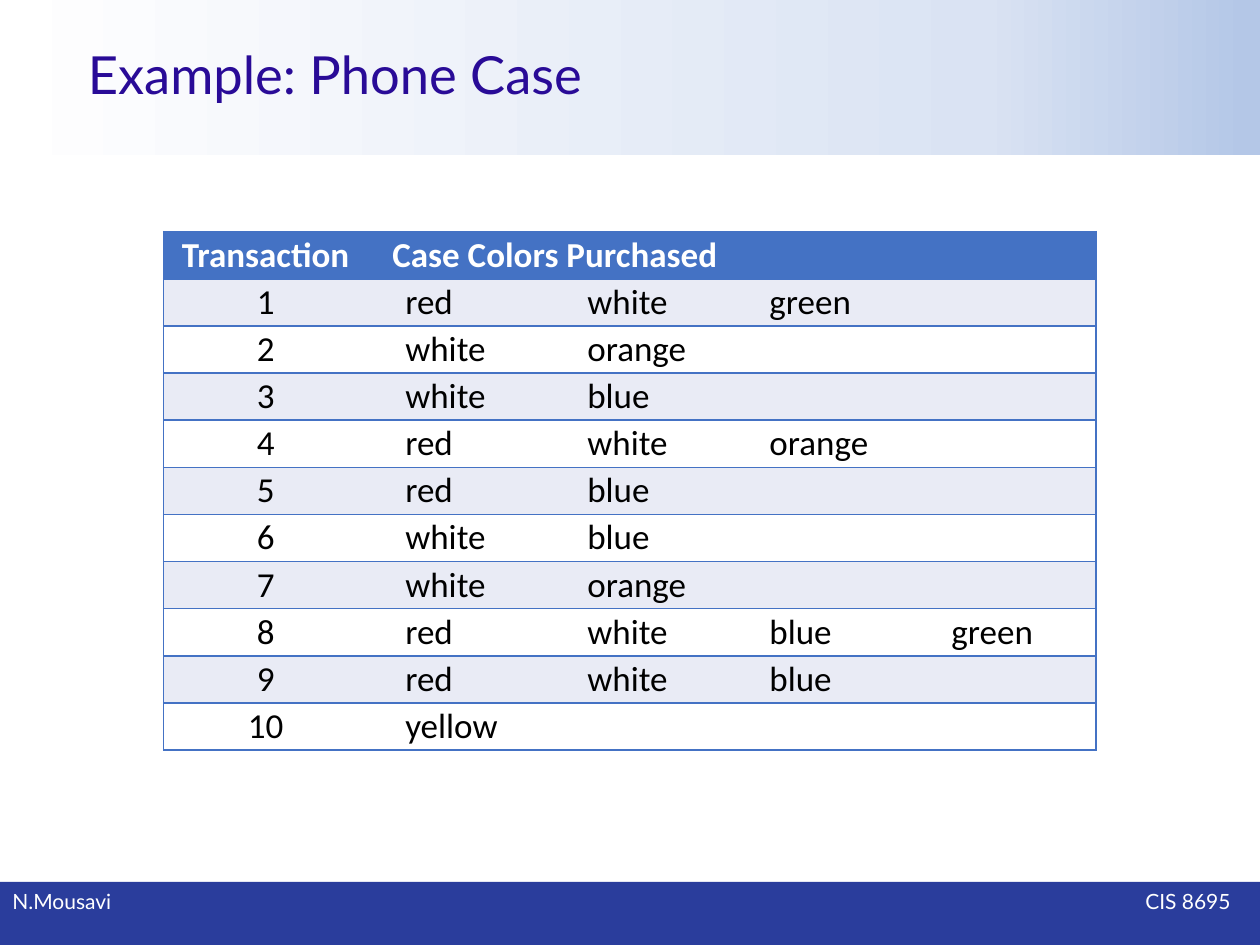
"""Build the phone case transactions slide."""
from dataclasses import dataclass

from lxml.etree import SubElement
from pptx import Presentation
from pptx.dml.color import RGBColor as Color
from pptx.enum.shapes import MSO_SHAPE as Shape
from pptx.enum.text import MSO_ANCHOR as Anchor, PP_ALIGN as Align
from pptx.oxml.ns import qn
from pptx.util import Cm, Pt

TITLE = "Example: Phone Case"
FOOTER = ("N.Mousavi", "CIS 8695")
HEADER = ("Transaction", "Case Colors Purchased")
PURCHASES = [
    ("red", "white", "green"),
    ("white", "orange"),
    ("white", "blue"),
    ("red", "white", "orange"),
    ("red", "blue"),
    ("white", "blue"),
    ("white", "orange"),
    ("red", "white", "blue", "green"),
    ("red", "white", "blue"),
    ("yellow",),
]


@dataclass(frozen=True)
class Theme:
    """Colours, fonts and type sizes of the slide."""

    title: str = "290B97"
    footer: str = "2A3D9C"
    accent: str = "4472C4"
    band: str = "E9EBF5"
    white: str = "FFFFFF"
    black: str = "000000"
    banner: tuple = ((0.01, "B4C7E7"), (0.22, "DAE3F3"), (1, "FFFFFF"))
    display_font: str = "Lato"
    table_font: str = "Calibri"
    title_size: int = 30
    table_size: int = 20
    footer_size: int = 12


THEME = Theme()
WIDTH, HEIGHT = Cm(25.4), Cm(19.05)
BANNER_HEIGHT = Cm(3.12)
FOOTER_TOP, FOOTER_HEIGHT = Cm(17.78), Cm(1.32)
TABLE_LEFT, TABLE_TOP = Cm(3.3), Cm(4.67)
NUMBER_WIDTH, COLOR_WIDTH, ROW_HEIGHT = Cm(4.11), Cm(3.67), Cm(0.95)
COLOR_COLUMNS = max(map(len, PURCHASES))
HEADER_INDENT, COLOR_INDENT = Cm(0.5), Cm(0.76)


def style_font(paragraph, name, size, color, bold=False):
    """Apply one typeface to all runs of a paragraph."""
    for run in paragraph.runs:
        run.font.name, run.font.size, run.font.bold = name, Pt(size), bold
        run.font.color.rgb = Color.from_string(color)


def add_bar(slide, top, height):
    """Add a full-width rectangle without outline or shadow."""
    shape = slide.shapes.add_shape(Shape.RECTANGLE, 0, top, WIDTH, height)
    shape.shadow.inherit = False
    shape.line.fill.background()
    return shape


def add_banner(slide):
    """Add the gradient band behind the title."""
    fill = add_bar(slide, 0, BANNER_HEIGHT).fill
    fill.gradient()
    fill.gradient_angle = 180
    stop_list = fill._xPr.find(qn("a:gradFill")).find(qn("a:gsLst"))
    for stop in list(stop_list):
        stop_list.remove(stop)
    for position, color in THEME.banner:
        stop = SubElement(stop_list, qn("a:gs"), pos=str(round(position * 100000)))
        SubElement(stop, qn("a:srgbClr"), val=color)


def add_footer(slide):
    """Add the footer bar with a right tab for its second text."""
    shape = add_bar(slide, FOOTER_TOP, FOOTER_HEIGHT)
    shape.fill.solid()
    shape.fill.fore_color.rgb = Color.from_string(THEME.footer)
    shape.text_frame.text = "\t".join(FOOTER)
    shape.text_frame.vertical_anchor = Anchor.TOP
    paragraph = shape.text_frame.paragraphs[0]
    paragraph.alignment = Align.LEFT
    tabs = SubElement(paragraph._p.get_or_add_pPr(), qn("a:tabLst"))
    SubElement(tabs, qn("a:tab"), pos=str(Cm(24.56)), algn="r")
    style_font(paragraph, THEME.display_font, THEME.footer_size, THEME.white)


def add_title(slide):
    """Add the title over the banner."""
    left = Cm(1.52)
    box = slide.shapes.add_textbox(left, 0, WIDTH - left, BANNER_HEIGHT)
    box.text_frame.word_wrap = True
    box.text_frame.text = TITLE
    box.text_frame.vertical_anchor = Anchor.MIDDLE
    paragraph = box.text_frame.paragraphs[0]
    paragraph.line_spacing = 0.9
    style_font(paragraph, THEME.display_font, THEME.title_size, THEME.title)


def set_borders(cell, sides):
    """Draw the given sides of a cell and hide the others."""
    properties = cell._tc.get_or_add_tcPr()
    for index, side in enumerate("LRTB"):
        line = SubElement(properties, qn(f"a:ln{side}"), w=str(Pt(1)))
        properties.insert(index, line)
        if side in sides:
            fill = SubElement(line, qn("a:solidFill"))
            SubElement(fill, qn("a:srgbClr"), val=THEME.accent)
        else:
            SubElement(line, qn("a:noFill"))


def format_cell(cell, row, column):
    """Style a cell according to its place in the table."""
    header = row == 0
    cell.margin_left = cell.margin_right = cell.margin_top = cell.margin_bottom = 0
    cell.vertical_anchor = Anchor.MIDDLE
    cell.fill.solid()
    fill = THEME.accent if header else THEME.band if row % 2 else THEME.white
    cell.fill.fore_color.rgb = Color.from_string(fill)
    paragraph = cell.text_frame.paragraphs[0]
    if column == 0:
        paragraph.alignment = Align.CENTER
    else:
        indent = HEADER_INDENT if header else COLOR_INDENT
        paragraph._p.get_or_add_pPr().set("marL", str(indent))
    color = THEME.white if header else THEME.black
    style_font(paragraph, THEME.table_font, THEME.table_size, color, header)
    right_edge = column == COLOR_COLUMNS or (header and column > 0)
    set_borders(cell, "TB" + "L" * (column == 0) + "R" * right_edge)


def add_transactions(slide):
    """Add the table of transactions."""
    rows = [HEADER] + [(str(n), *colors) for n, colors in enumerate(PURCHASES, 1)]
    widths = [NUMBER_WIDTH] + [COLOR_WIDTH] * COLOR_COLUMNS
    table = slide.shapes.add_table(
        len(rows), len(widths), TABLE_LEFT, TABLE_TOP, sum(widths), ROW_HEIGHT * len(rows)
    ).table
    table.first_row = table.horz_banding = False
    for column, width in zip(table.columns, widths):
        column.width = width
    for row, texts in enumerate(rows):
        table.rows[row].height = ROW_HEIGHT
        for column, text in enumerate(texts):
            table.cell(row, column).text_frame.text = text
        for column in range(len(widths)):
            format_cell(table.cell(row, column), row, column)
    table.cell(0, 1).merge(table.cell(0, COLOR_COLUMNS))


def main():
    """Create and save the presentation."""
    presentation = Presentation()
    presentation.slide_width, presentation.slide_height = WIDTH, HEIGHT
    slide = presentation.slides.add_slide(presentation.slide_layouts[6])
    add_banner(slide)
    add_footer(slide)
    add_title(slide)
    add_transactions(slide)
    presentation.save("out.pptx")


if __name__ == "__main__":
    main()
